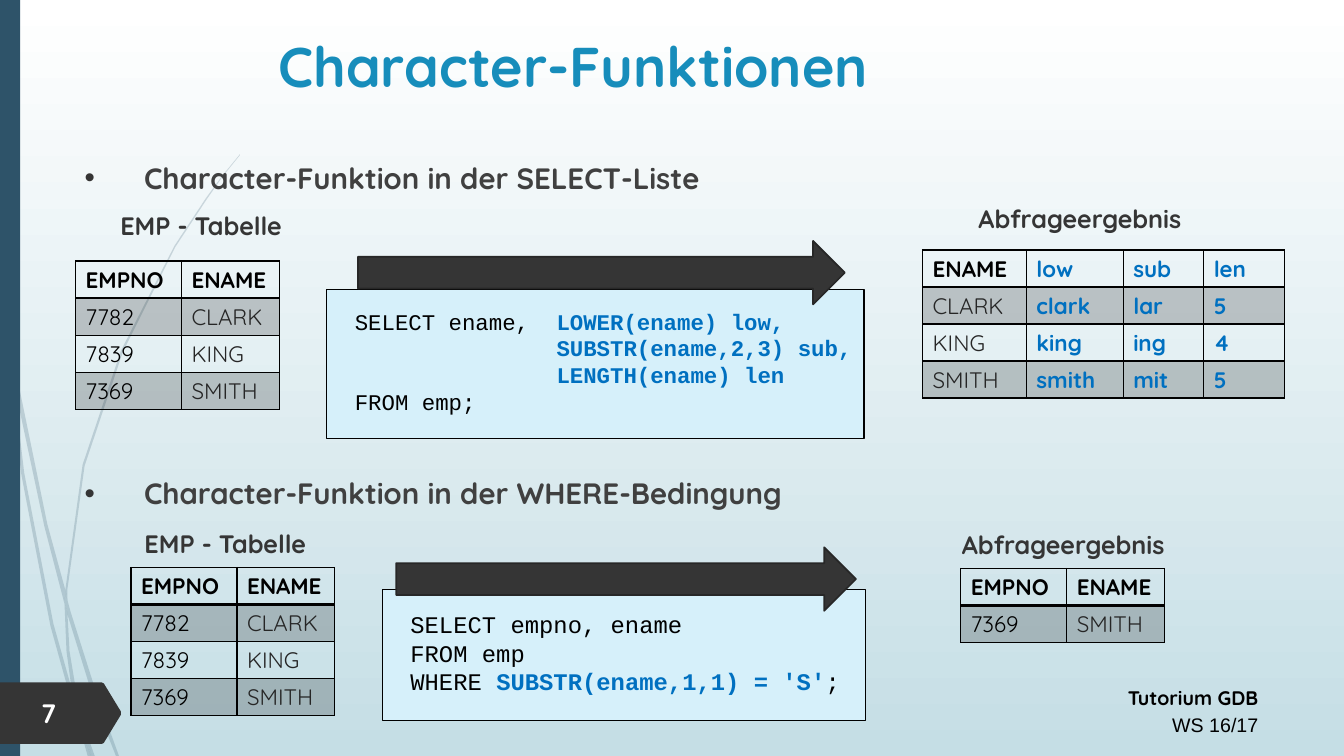
from pptx import Presentation
from pptx.util import Inches, Pt
from pptx.dml.color import RGBColor
from pptx.enum.shapes import MSO_SHAPE as Shape
from pptx.enum.text import PP_ALIGN as Align, MSO_ANCHOR as Anchor
from pptx.oxml.ns import qn
from lxml.etree import SubElement as Sub, Element

HUE = {"navy": "2E5369", "dark": "353535", "edge": "272727", "body": "404040",
       "cell": "262626", "black": "000000", "white": "FFFFFF", "mist": "C5DEE5",
       "title": "178DBB", "key": "0070C0", "code": "D6F0FA"}
SANS, MONO = "Quicksand", "Courier New"

SWIRLS = [
    [(.08, 3.5), (.06, 3.22), (0, 2.82), (0, 2.99), (.08, 3.44)],
    [(.44, 5.22), (.64, 5.99), (.65, 5.86), (.47, 5.2), (.11, 3.45), (.13, 3.76)],
    [(.7, 6.07), (.67, 5.96), (.67, 6.1), (.93, 6.94), (1.15, 7.5), (1.18, 7.5), (.97, 6.92)],
    [(.91, 7.5), (.94, 7.5), (.8, 7.11)],
    [(.71, 6.83), (.53, 6.19), (.24, 4.69), (.13, 3.76), (.08, 3.5), (.21, 4.7),
     (.5, 6.21), (.7, 6.93), (.77, 7.14), (.75, 7.07)],
    [(.64, 5.99), (.66, 6.46), (.71, 6.83), (.73, 6.92), (.8, 7.11), (.79, 7.06),
     (.69, 6.46), (.67, 6.1), (.67, 6.08)],
    [(.67, 5.84), (.84, 4.62), (1.22, 3.49), (1.74, 2.45), (2.05, 1.98), (2.21, 1.75),
     (2.38, 1.54), (2.38, 1.53), (2.2, 1.75), (2.04, 1.97), (1.73, 2.44), (1.2, 3.48),
     (.82, 4.61), (.65, 5.84), (.65, 5.86), (.67, 5.96)],
    [(.77, 7.14), (.87, 7.5), (.9, 7.5)],
    [(.67, 6.08), (.67, 6.1), (.67, 5.96), (.65, 5.86), (.64, 5.99)],
    [(.74, 6.92), (.71, 6.83), (.75, 7.07), (.77, 7.14), (.9, 7.5), (.91, 7.5), (.8, 7.11)],
]
TAB = [(1.2, 7.09), (1.03, 7.37), (1.01, 7.38), (0, 7.38), (0, 6.77), (1.01, 6.77),
       (1.03, 6.78), (1.2, 7.06)]

TITLE = "Character-Funktionen"
POINTS = [("Character-Funktion in der SELECT-Liste", 0),
          ("Character-Funktion in der WHERE-Bedingung", 195)]
LABELS = [("EMP - Tabelle", 1.01, 2.04, 1.97), ("Abfrageergebnis", 9.37, 1.97, 2.68),
          ("EMP - Tabelle", 1.25, 5.19, 1.97), ("Abfrageergebnis", 9.31, 5.2, 2.47)]
CODES = [
    ((3.24, 2.87, 5.33, 1.48), 16, [
        [("SELECT ename,\t", False), ("LOWER(ename) low,", True)],
        [("\tSUBSTR(ename,2,3) sub,", True)],
        [("\tLENGTH(ename) len", True)],
        [("FROM emp;", False)]]),
    ((3.79, 5.85, 4.79, 1.3), 17, [
        [("SELECT empno, ename", False)],
        [("FROM emp", False)],
        [("WHERE ", False), ("SUBSTR(ename,1,1) = 'S'", True), (";", False)]]),
]
ARROWS = [(3.55, 2.39, 4.83, .63), (3.93, 5.43, 4.56, .63)]
EMP = [("EMPNO", "ENAME"), ("7782", "CLARK"), ("7839", "KING"), ("7369", "SMITH")]
RESULT = [("ENAME", "low", "sub", "len"), ("CLARK", "clark", "lar", "5"),
          ("KING", "king", "ing", "4"), ("SMITH", "smith", "mit", "5")]
PAIR = (1.05, .97)
TABLES = [(.75, 2.59, PAIR, EMP), (9.15, 2.48, (1.03, .96, .8, .8), RESULT),
          (1.3, 5.63, PAIR, EMP), (9.53, 5.64, PAIR, [EMP[0], EMP[3]])]
ROW = 1.47 / 4

deck = Presentation()
deck.slide_width, deck.slide_height = Inches(13.33), Inches(7.5)
slide = deck.slides.add_slide(deck.slide_layouts[6])
shapes = slide.shapes


def rgb(name):
    return RGBColor.from_string(HUE[name])


def paint(shape, hue, line=None, width=1, alpha=None):
    shape.shadow.inherit = False
    tint(shape.fill, hue, alpha)
    if line:
        shape.line.color.rgb = rgb(line)
        shape.line.width = Pt(width)
    else:
        shape.line.fill.background()


def tint(fill, hue, alpha=None):
    fill.solid()
    fill.fore_color.rgb = rgb(hue)
    if alpha:
        node = fill._xPr.find(qn("a:solidFill"))[0]
        Sub(node, qn("a:alpha"), val=str(alpha * 1000))


def style(run, size, hue, bold=True, face=SANS):
    font = run.font
    font.size, font.bold, font.name = Pt(size), bold, face
    font.color.rgb = rgb(hue)


def outline(points, hue, alpha=None):
    spots = [(Inches(x), Inches(y)) for x, y in points]
    pen = shapes.build_freeform(*spots[0])
    pen.add_line_segments(spots[1:], close=True)
    paint(pen.convert_to_shape(), hue, alpha=alpha)


def write(text, box, size, hue, align=Align.LEFT, anchor=Anchor.TOP):
    frame = shapes.add_textbox(*map(Inches, box)).text_frame
    frame.word_wrap = True
    frame.vertical_anchor = anchor
    frame.text = text
    for para in frame.paragraphs:
        para.alignment = align
        style(para.runs[0], size, hue)
    return frame


def border(cell, widths):
    props = cell._tc.get_or_add_tcPr()
    for spot, (side, width) in enumerate(zip("LRTB", widths)):
        line = Element(qn("a:ln" + side), w=str(Pt(width)))
        Sub(Sub(line, qn("a:solidFill")), qn("a:srgbClr"), val=HUE["black"])
        props.insert(spot, line)


def grid(left, top, cols, rows):
    box = map(Inches, (left, top, sum(cols), ROW * len(rows)))
    table = shapes.add_table(len(rows), len(cols), *box).table
    table.first_row = table.horz_banding = False
    for col, width in zip(table.columns, cols):
        col.width = Inches(width)
    for r, row in enumerate(rows):
        table.rows[r].height = Inches(ROW)
        for c, text in enumerate(row):
            cell = table.cell(r, c)
            cell.margin_top, cell.margin_bottom = Inches(.05), Inches(.03)
            cell.text = text
            key = rows is RESULT and c > 0
            name = rows is RESULT or c > 0
            hue = "key" if key else "cell" if r and name else "black"
            style(cell.text_frame.paragraphs[0].runs[0], 16, hue, key or r == 0)
            if r % 2:
                tint(cell.fill, "black", 20)
            else:
                cell.fill.background()
            border(cell, (1, 1, 2 if r == 1 else 1, 2 if r == 0 else 1))


def code(box, size, lines):
    panel = shapes.add_shape(Shape.RECTANGLE, *map(Inches, box))
    paint(panel, "code", "black", .75)
    frame = panel.text_frame
    frame.word_wrap = True
    frame.vertical_anchor = Anchor.MIDDLE
    frame.margin_left, frame.margin_right = Inches(.28), 0
    frame.margin_top, frame.margin_bottom = 0, Inches(.05)
    for i, line in enumerate(lines):
        para = frame.add_paragraph() if i else frame.paragraphs[0]
        para.alignment = Align.LEFT
        stops = Sub(para._p.get_or_add_pPr(), qn("a:tabLst"))
        Sub(stops, qn("a:tab"), pos=str(Inches(2)), algn="l")
        for text, key in line:
            run = para.add_run()
            run.text = text
            style(run, size, "key" if key else "black", key, MONO)


back = slide.background.fill
back.gradient()
back.gradient_angle = 270
for stop, hue in zip(back.gradient_stops, ("white", "mist")):
    stop.color.rgb = rgb(hue)

for swirl in SWIRLS:
    outline(swirl, "navy", 20)
band = shapes.add_shape(Shape.RECTANGLE, 0, 0, Inches(.2), Inches(7.5))
paint(band, "navy")

foot = write("Tutorium GDB\nWS 16/17", (7.38, 6.72, 5.2, .64), 14, "black", Align.RIGHT)
for para in foot.paragraphs:
    para.line_spacing = 1.14
style(foot.paragraphs[1].runs[0], 14, "black", False, "Arial")
outline(TAB, "dark")
write("7", (.31, 6.86, .7, .42), 19, "white")
write(TITLE, (1.2, .24, 8.97, .81), 40, "title", Align.CENTER, Anchor.MIDDLE)

body = write("\n".join(text for text, _ in POINTS), (.74, 1.47, 11.84, 5), 21, "body")
for para, (_, gap) in zip(body.paragraphs, POINTS):
    para.line_spacing = 1.2
    para.space_before = Pt(gap)
    props = para._p.get_or_add_pPr()
    props.set("marL", str(Inches(.59)))
    props.set("indent", str(-Inches(.59)))
    Sub(Sub(props, qn("a:buClr")), qn("a:srgbClr"), val=HUE["dark"])
    Sub(props, qn("a:buFont"), typeface="Arial")
    Sub(props, qn("a:buChar"), char="•")

for text, left, top, width in LABELS:
    write(text, (left, top, width, .4), 18, "dark", Align.CENTER)
for panel in CODES:
    code(*panel)
for box in ARROWS:
    paint(shapes.add_shape(Shape.RIGHT_ARROW, *map(Inches, box)), "dark", "edge", 1.25)
for table in TABLES:
    grid(*table)

deck.save("out.pptx")
